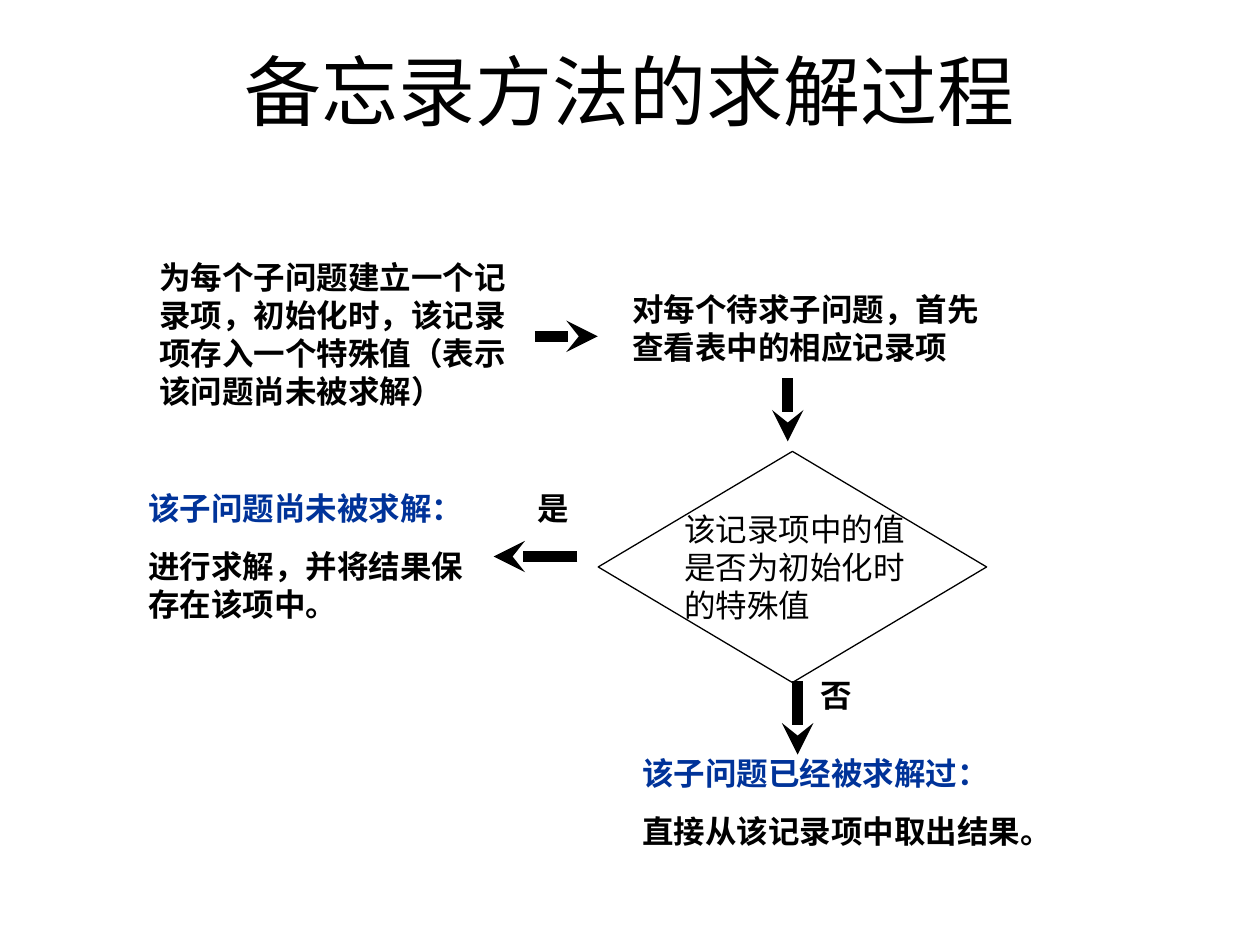
from dataclasses import dataclass

from lxml import etree
from pptx import Presentation
from pptx import util as u
from pptx.dml.color import RGBColor
from pptx.enum import shapes, text
from pptx.oxml.ns import qn


@dataclass(frozen=True)
class Theme:
    font: str = "Arial"
    ink: RGBColor = RGBColor(0, 0, 0)
    blue: RGBColor = RGBColor(0x00, 0x33, 0x99)
    head: float = 44
    body: float = 18
    gap: float = 11.2
    arrow: float = 6
    edge: float = 0.75


T = Theme()


def style(para, size, color=T.ink, bold=False):
    for run in para.runs:
        font = run.font
        font.name, font.size, font.bold = T.font, u.Pt(size), bold
        font.color.rgb = color


def note(slide, box, lines, bold=True):
    """Text box; with two lines, the first is a blue heading."""
    frame = slide.shapes.add_textbox(*map(u.Cm, box)).text_frame
    frame.word_wrap = True
    frame.text = "\n".join(lines)
    for i, para in enumerate(frame.paragraphs):
        lead = i == 0 and len(lines) > 1
        style(para, T.body, T.blue if lead else T.ink, bold)
        if i:
            para.space_before = u.Pt(T.gap)


def arrow(slide, x, y, dx, dy):
    ends = map(u.Cm, (x, y, x + dx, y + dy))
    link = slide.shapes.add_connector(shapes.MSO_CONNECTOR.STRAIGHT, *ends)
    link.line.color.rgb = T.ink
    link.line.width = u.Pt(T.arrow)
    etree.SubElement(link.line._get_or_add_ln(), qn("a:tailEnd"), type="stealth")
    etree.SubElement(link._element.spPr, qn("a:effectLst"))


def title(slide, box, words):
    head = slide.shapes.title
    head.left, head.top, head.width, head.height = map(u.Cm, box)
    frame = head.text_frame
    frame.text = words
    frame.vertical_anchor = text.MSO_ANCHOR.TOP
    para = frame.paragraphs[0]
    para.alignment = text.PP_ALIGN.CENTER
    style(para, T.head)


def setup(slide, box):
    """Create the records, then move on to the lookup."""
    x, y, w, h = box
    note(slide, box, ["为每个子问题建立一个记录项，初始化时，该记录项存入一个特殊值（表示该问题尚未被求解）"])
    arrow(slide, x + w + 0.2, y + 1.7, 1.27, 0)


def lookup(slide, box):
    """Look up the record, then go down to the test."""
    x, y, w, h = box
    note(slide, box, ["对每个待求子问题，首先查看表中的相应记录项"])
    arrow(slide, x + 3.38, y + h + 0.13, 0, 1.27)


def test(slide, box):
    """Decision diamond with its question and both exits."""
    x, y, w, h = box
    gem = slide.shapes.add_shape(shapes.MSO_SHAPE.DIAMOND, *map(u.Cm, box))
    gem.shadow.inherit = False
    gem.fill.background()
    gem.line.color.rgb = T.ink
    gem.line.width = u.Pt(T.edge)
    note(slide, (x + 1.48, y + 1.06, 5.08, 2.54),
         ["该记录项中的值是否为初始化时的特殊值"], bold=False)
    # Yes: left
    arrow(slide, x - 0.42, y + 2.12, -1.69, 0)
    note(slide, (x - 1.48, y + 0.63, 1.27, 1.02), ["是"])
    # No: down
    arrow(slide, x + 4.02, y + h - 0.03, 0, 1.48)
    note(slide, (x + 4.24, y + h - 0.26, 1.27, 1.02), ["否"])


def main():
    deck = Presentation()
    deck.slide_width, deck.slide_height = u.Cm(25.4), u.Cm(19.05)
    slide = deck.slides.add_slide(deck.slide_layouts[5])

    title(slide, (1.27, 0.76, 22.86, 3.18), "备忘录方法的求解过程")
    setup(slide, (2.96, 5.08, 7.62, 3.3))
    lookup(slide, (12.5, 5.72, 7.62, 1.78))
    test(slide, (12.06, 9.1, 7.83, 4.66))
    # Outcomes
    note(slide, (2.74, 9.74, 7.2, 2.95),
         ["该子问题尚未被求解：", "进行求解，并将结果保存在该项中。"])
    note(slide, (12.7, 15.08, 9.31, 2.18),
         ["该子问题已经被求解过：", "直接从该记录项中取出结果。"])

    deck.save("out.pptx")


if __name__ == "__main__":
    main()
